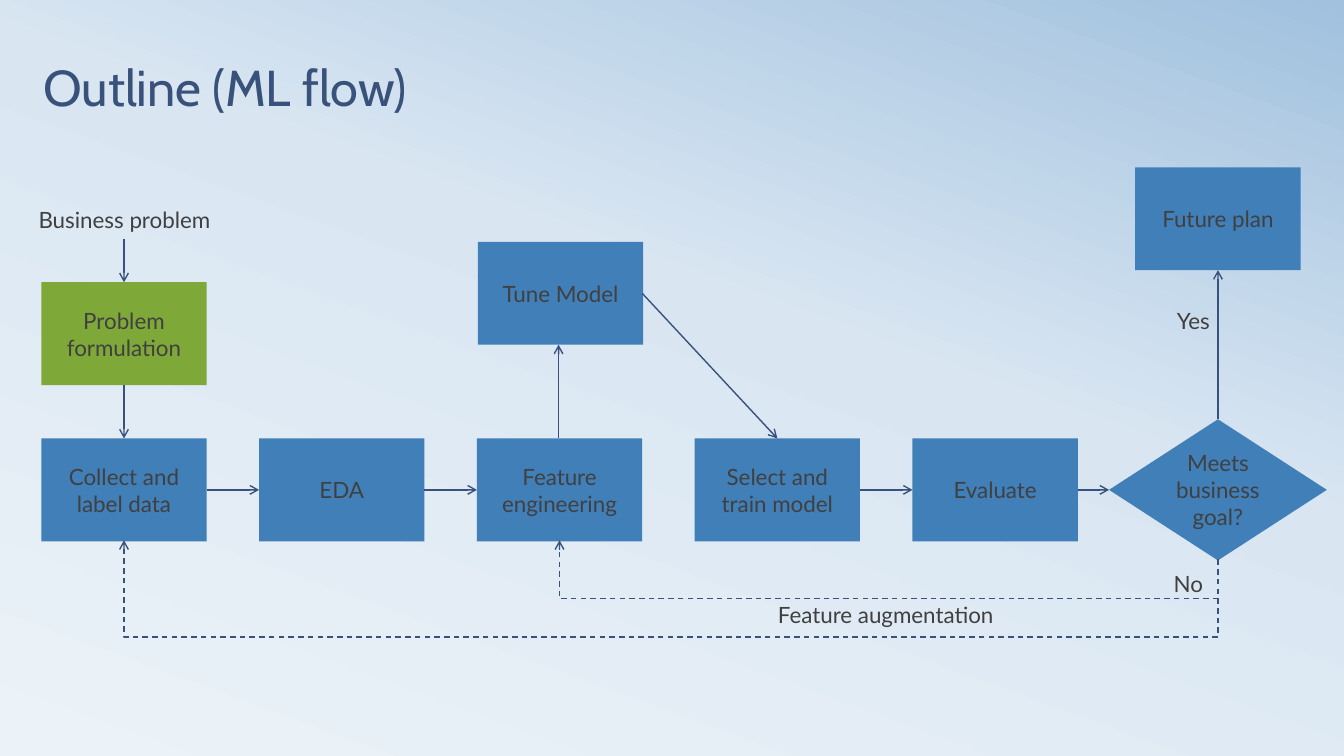
from copy import deepcopy

from lxml.etree import SubElement
from pptx import Presentation
from pptx.dml.color import RGBColor
from pptx.enum.dml import MSO_LINE
from pptx.enum.shapes import MSO_CONNECTOR, MSO_SHAPE
from pptx.enum.text import MSO_ANCHOR, MSO_AUTO_SIZE, PP_ALIGN
from pptx.oxml.ns import qn
from pptx.util import Inches, Pt

NAVY = RGBColor(0x39, 0x52, 0x7B)
BLUE = RGBColor(0x41, 0x7F, 0xB8)
GREEN = RGBColor(0x7E, 0xA9, 0x39)
GREY = RGBColor(0x40, 0x40, 0x40)
SKY = [
    (0, RGBColor(0xEC, 0xF3, 0xF8)),
    (0.58, RGBColor(0xD9, 0xE6, 0xF2)),
    (1, RGBColor(0xA1, 0xC1, 0xDE)),
]

BOX_WIDTH, BOX_HEIGHT = 1.64, 1.02
COLUMNS = [0.41 + 2.16 * column for column in range(5)]
FLOW_TOP, PROBLEM_TOP, TUNE_TOP, PLAN_TOP = 4.35, 2.8, 2.4, 1.66
FLOW_MIDDLE, FLOW_BOTTOM = 4.86, 5.36
GOAL_LEFT, GOAL_TOP, GOAL_WIDTH, GOAL_HEIGHT = 11, 4.16, 2.16, 1.4
GOAL_CENTER, GOAL_BOTTOM = GOAL_LEFT + GOAL_WIDTH / 2, 5.55
DATA_CENTER, FEATURE_CENTER = 1.23, 5.54


def write(shape, text, size=16, font="Lato", color=GREY, align=PP_ALIGN.CENTER):
    shape.text_frame.word_wrap = True
    para = shape.text_frame.paragraphs[0]
    para.text = text
    para.alignment = align
    para.font.size = Pt(size)
    para.font.name = font
    para.font.color.rgb = color
    return para


def add_arrow(kind, start_x, start_y, end_x, end_y, dash=None):
    arrow = page.shapes.add_connector(
        kind, Inches(start_x), Inches(start_y), Inches(end_x), Inches(end_y))
    arrow.line.color.rgb = NAVY
    arrow.line.width = Pt(1)
    if dash:
        arrow.line.dash_style = dash
    properties = arrow.element.spPr
    SubElement(properties.find(qn("a:ln")), qn("a:tailEnd"), type="arrow")
    SubElement(properties, qn("a:effectLst"))
    return arrow


deck = Presentation()
deck.slide_width, deck.slide_height = Inches(13.33), Inches(7.5)
page = deck.slides.add_slide(deck.slide_layouts[6])

backdrop = page.background.fill
backdrop.gradient()
backdrop.gradient_angle = 70
stop_list = page.element.find(".//" + qn("a:gsLst"))
stop_list.append(deepcopy(stop_list[-1]))
for stop, (position, color) in zip(backdrop.gradient_stops, SKY):
    stop.position = position
    stop.color.rgb = color

title = page.shapes.add_textbox(Inches(0.33), Inches(0.03), Inches(12), Inches(1.17))
title.text_frame.vertical_anchor = MSO_ANCHOR.BOTTOM
write(title, "Outline (ML flow)", 36, "Cabin", NAVY, PP_ALIGN.LEFT).line_spacing = 0.8

steps = ["Collect and label data", "EDA", "Feature engineering",
         "Select and train model", "Evaluate"]
boxes = [(text, left, FLOW_TOP, BLUE) for text, left in zip(steps, COLUMNS)]
boxes += [
    ("Problem formulation", COLUMNS[0], PROBLEM_TOP, GREEN),
    ("Tune Model", COLUMNS[2] + 0.01, TUNE_TOP, BLUE),
    ("Future plan", GOAL_CENTER - BOX_WIDTH / 2, PLAN_TOP, BLUE),
]
nodes = [(MSO_SHAPE.RECTANGLE, text, left, top, BOX_WIDTH, BOX_HEIGHT, color)
         for text, left, top, color in boxes]
nodes.append((MSO_SHAPE.FLOWCHART_DECISION, "Meets business goal?",
              GOAL_LEFT, GOAL_TOP, GOAL_WIDTH, GOAL_HEIGHT, BLUE))
for kind, text, left, top, width, height, color in nodes:
    node = page.shapes.add_shape(
        kind, Inches(left), Inches(top), Inches(width), Inches(height))
    node.shadow.inherit = False
    node.fill.solid()
    node.fill.fore_color.rgb = color
    node.line.fill.background()
    node.text_frame.vertical_anchor = MSO_ANCHOR.MIDDLE
    write(node, text)

for text, left, top, width in [
    ("Business problem", 0.23, 2, 2.01),
    ("Yes", 11.49, 3, 0.69),
    ("No", 11.44, 5.61, 0.69),
    ("Feature augmentation", 5.54, 5.91, 6.49),
]:
    label = page.shapes.add_textbox(Inches(left), Inches(top), Inches(width), Inches(0.37))
    write(label, text)
    label.text_frame.auto_size = MSO_AUTO_SIZE.SHAPE_TO_FIT_TEXT

next_lefts = COLUMNS[1:] + [GOAL_LEFT]
routes = [(COLUMNS[step] + BOX_WIDTH, FLOW_MIDDLE, next_lefts[step], FLOW_MIDDLE)
          for step in (0, 1, 3, 4)]
routes += [
    (DATA_CENTER, 2.37, DATA_CENTER, PROBLEM_TOP),
    (DATA_CENTER, PROBLEM_TOP + BOX_HEIGHT, DATA_CENTER, FLOW_TOP),
    (FEATURE_CENTER, FLOW_TOP, FEATURE_CENTER, TUNE_TOP + BOX_HEIGHT),
    (COLUMNS[2] + BOX_WIDTH, TUNE_TOP + BOX_HEIGHT / 2,
     COLUMNS[3] + BOX_WIDTH / 2, FLOW_TOP),
    (GOAL_CENTER, GOAL_TOP, GOAL_CENTER, PLAN_TOP + BOX_HEIGHT),
]
for route in routes:
    add_arrow(MSO_CONNECTOR.STRAIGHT, *route)

rise = GOAL_BOTTOM - FLOW_BOTTOM
middle_y = (GOAL_BOTTOM + FLOW_BOTTOM) / 2
for target_x, lane_y in [(DATA_CENTER, 6.32), (FEATURE_CENTER + 0.01, 5.94)]:
    middle_x, run = (GOAL_CENTER + target_x) / 2, GOAL_CENTER - target_x
    loop = add_arrow(
        MSO_CONNECTOR.ELBOW, middle_x + rise / 2, middle_y - run / 2,
        middle_x - rise / 2, middle_y + run / 2, MSO_LINE.DASH)
    loop.element.spPr.find(qn("a:xfrm")).set("rot", str(90 * 60000))
    bend = round((GOAL_BOTTOM - lane_y) / rise * 100000)
    SubElement(loop.element.spPr.find(".//" + qn("a:avLst")), qn("a:gd"),
               name="adj1", fmla=f"val {bend}")

deck.save("out.pptx")
